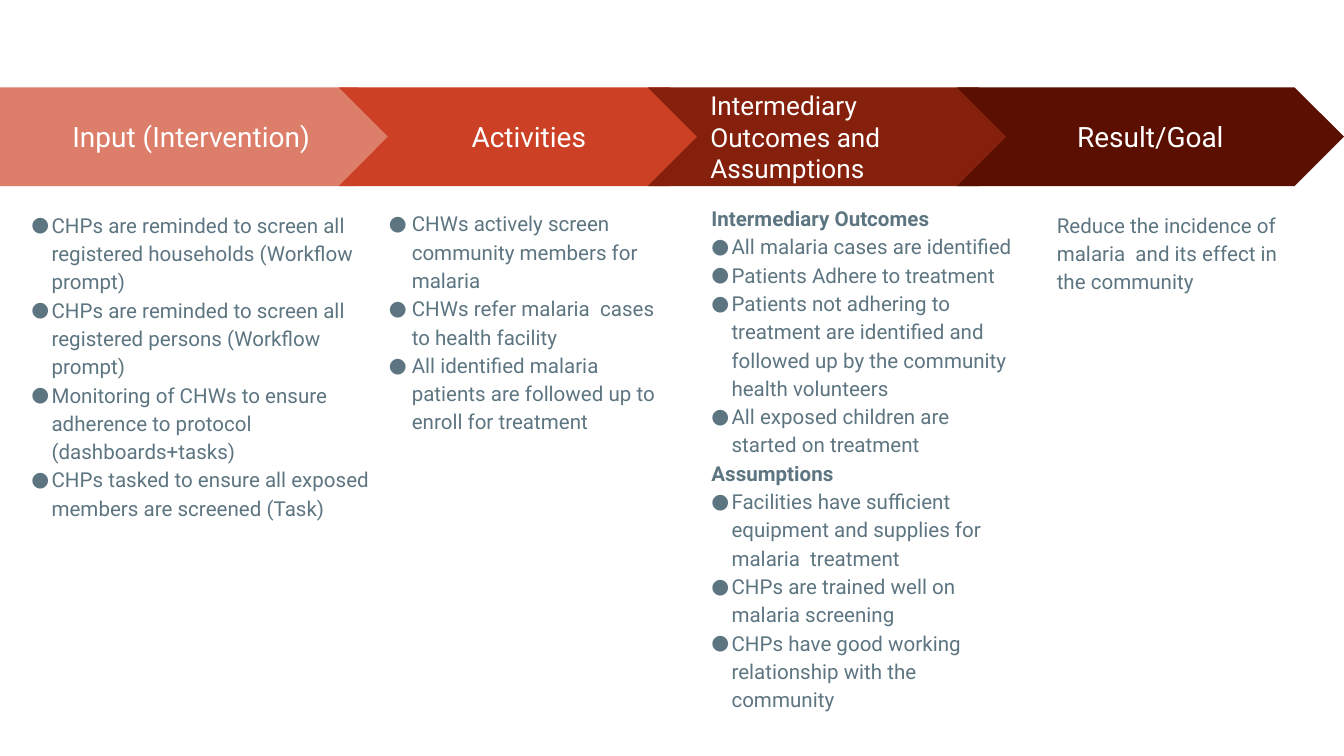
import pptx
import pptx.util
import pptx.dml.color
import pptx.enum.shapes
import pptx.enum.text
import pptx.oxml.ns
import lxml.etree

PX = 4572  # EMU per px, 200 px to the inch
SLIDE_WIDTH, SLIDE_HEIGHT = 2000, 1125
BAND_TOP, BAND_HEIGHT = 130, 147
FIRST_CHEVRON, STAGE_PITCH = 504, 460
INSET = 20
FONT = "Roboto"
WHITE, SLATE = "FFFFFF", "5D7581"

SHAPES = pptx.enum.shapes.MSO_SHAPE
ALIGN = pptx.enum.text.PP_ALIGN
ANCHOR = pptx.enum.text.MSO_ANCHOR

# Each body line is (style, text)
STAGES = [
    {
        "title": "Input (Intervention)", "size": 15, "align": ALIGN.CENTER,
        "outline": SHAPES.PENTAGON, "fill": "DD7E6B", "width": 606,
        "body_box": (27, 291, 550, 750), "indent": (30, -30),
        "body": [
            ("bullet", "CHPs are reminded to screen all registered households (Workflow prompt)"),
            ("bullet", "CHPs are reminded to screen all registered persons (Workflow prompt)"),
            ("bullet", "Monitoring of CHWs to ensure adherence to protocol (dashboards+tasks)"),
            ("bullet", "CHPs tasked to ensure all exposed members are screened (Task)"),
        ],
    },
    {
        "title": "Activities", "size": 15, "align": ALIGN.CENTER,
        "outline": SHAPES.CHEVRON, "fill": "CC4125", "width": 566,
        "body_box": (555, 289, 470, 396), "indent": (38, -34),
        "body": [
            ("bullet", "CHWs actively screen community members for malaria"),
            ("bullet", "CHWs refer malaria  cases to health facility"),
            ("bullet", "All identified malaria patients are followed up to enroll for treatment"),
        ],
    },
    {
        "title": "Intermediary Outcomes and Assumptions", "size": 14, "align": ALIGN.LEFT,
        "outline": SHAPES.CHEVRON, "fill": "85200C", "width": 566,
        "body_box": (1039, 281, 492, 810), "indent": (30, -30),
        "body": [
            ("heading", "Intermediary Outcomes"),
            ("bullet", "All malaria cases are identified"),
            ("bullet", "Patients Adhere to treatment"),
            ("bullet", "Patients not adhering to treatment are identified and followed up "
                       "by the community health volunteers"),
            ("bullet", "All exposed children are started on treatment"),
            ("heading", "Assumptions"),
            ("bullet", "Facilities have sufficient equipment and supplies for malaria  treatment"),
            ("bullet", "CHPs are trained well on malaria screening"),
            ("bullet", "CHPs have good working relationship with the community"),
        ],
    },
    {
        "title": "Result/Goal", "size": 15, "align": ALIGN.CENTER,
        "outline": SHAPES.CHEVRON, "fill": "5B0F00", "width": 576,
        "body_box": (1553, 291, 374, 572), "indent": (0, 0),
        "body": [("plain", "Reduce the incidence of malaria  and its effect in the community")],
    },
]


def rgb(code):
    return pptx.dml.color.RGBColor.from_string(code)


def emu(*lengths):
    return [length * PX for length in lengths]


def apply(target, values):
    for name, value in values.items():
        setattr(target, name, value)


def set_frame(frame, anchor):
    inset = INSET * PX
    apply(frame, {"word_wrap": True, "vertical_anchor": anchor,
                  "margin_left": inset, "margin_right": inset,
                  "margin_top": inset, "margin_bottom": inset})


def write(paragraph, text, size, color, bold=False):
    run = paragraph.add_run()
    run.text = text
    apply(run.font, {"name": FONT, "size": pptx.util.Pt(size), "bold": bold})
    run.font.color.rgb = rgb(color)


def add_bullet(paragraph, indent):
    qn = pptx.oxml.ns.qn
    properties = paragraph._p.get_or_add_pPr()
    for name, length in zip(("marL", "indent"), emu(*indent)):
        properties.set(name, str(length))
    bullet_color = lxml.etree.SubElement(properties, qn("a:buClr"))
    lxml.etree.SubElement(bullet_color, qn("a:srgbClr"), val=SLATE)
    lxml.etree.SubElement(properties, qn("a:buFont"), typeface=FONT)
    lxml.etree.SubElement(properties, qn("a:buChar"), char="●")


def add_arrow(slide, stage, left):
    arrow = slide.shapes.add_shape(
        stage["outline"], *emu(left, BAND_TOP, stage["width"], BAND_HEIGHT))
    arrow.shadow.inherit = False
    arrow.fill.solid()
    arrow.fill.fore_color.rgb = rgb(stage["fill"])
    arrow.line.fill.background()
    set_frame(arrow.text_frame, ANCHOR.MIDDLE)
    title = arrow.text_frame.paragraphs[0]
    title.alignment = stage["align"]
    write(title, stage["title"], stage["size"], WHITE)


def add_body(slide, stage):
    frame = slide.shapes.add_textbox(*emu(*stage["body_box"])).text_frame
    set_frame(frame, ANCHOR.TOP)
    for index, (style, text) in enumerate(stage["body"]):
        paragraph = frame.add_paragraph() if index else frame.paragraphs[0]
        paragraph.line_spacing = 1.15
        if style == "bullet":
            add_bullet(paragraph, stage["indent"])
        write(paragraph, text, 11, SLATE, bold=style == "heading")


def main():
    deck = pptx.Presentation()
    deck.slide_width, deck.slide_height = emu(SLIDE_WIDTH, SLIDE_HEIGHT)
    slide = deck.slides.add_slide(deck.slide_layouts[6])

    # Arrow band with the details of each stage below it
    for index, stage in enumerate(STAGES):
        left = FIRST_CHEVRON + (index - 1) * STAGE_PITCH if index else 0
        add_arrow(slide, stage, left)
        add_body(slide, stage)

    deck.save("out.pptx")


if __name__ == "__main__":
    main()
